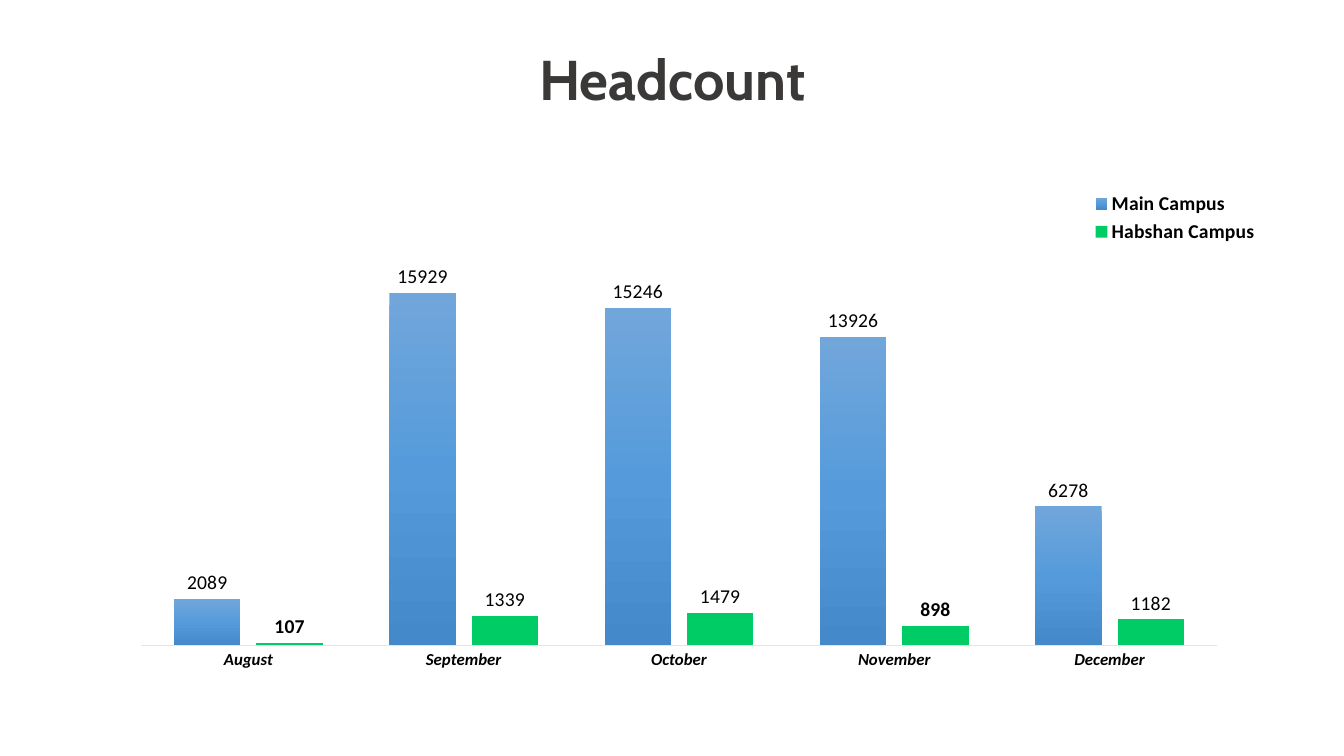
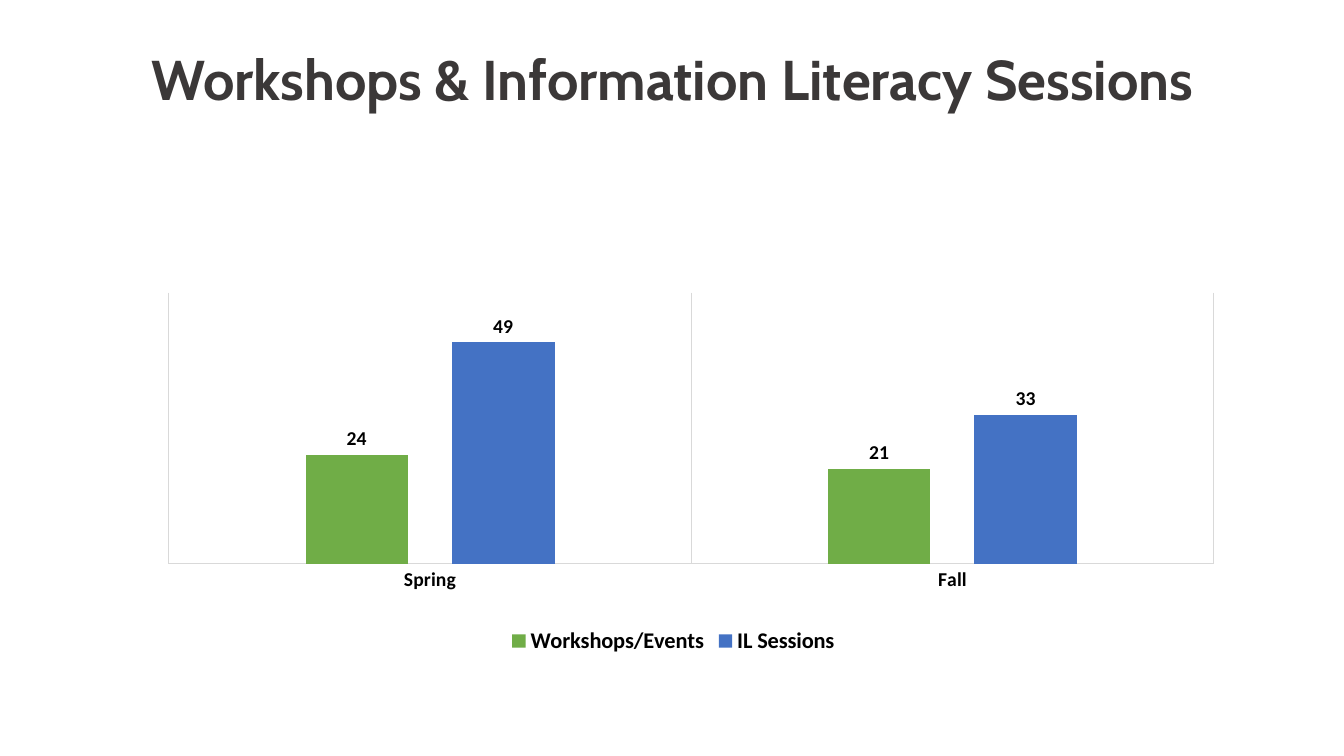
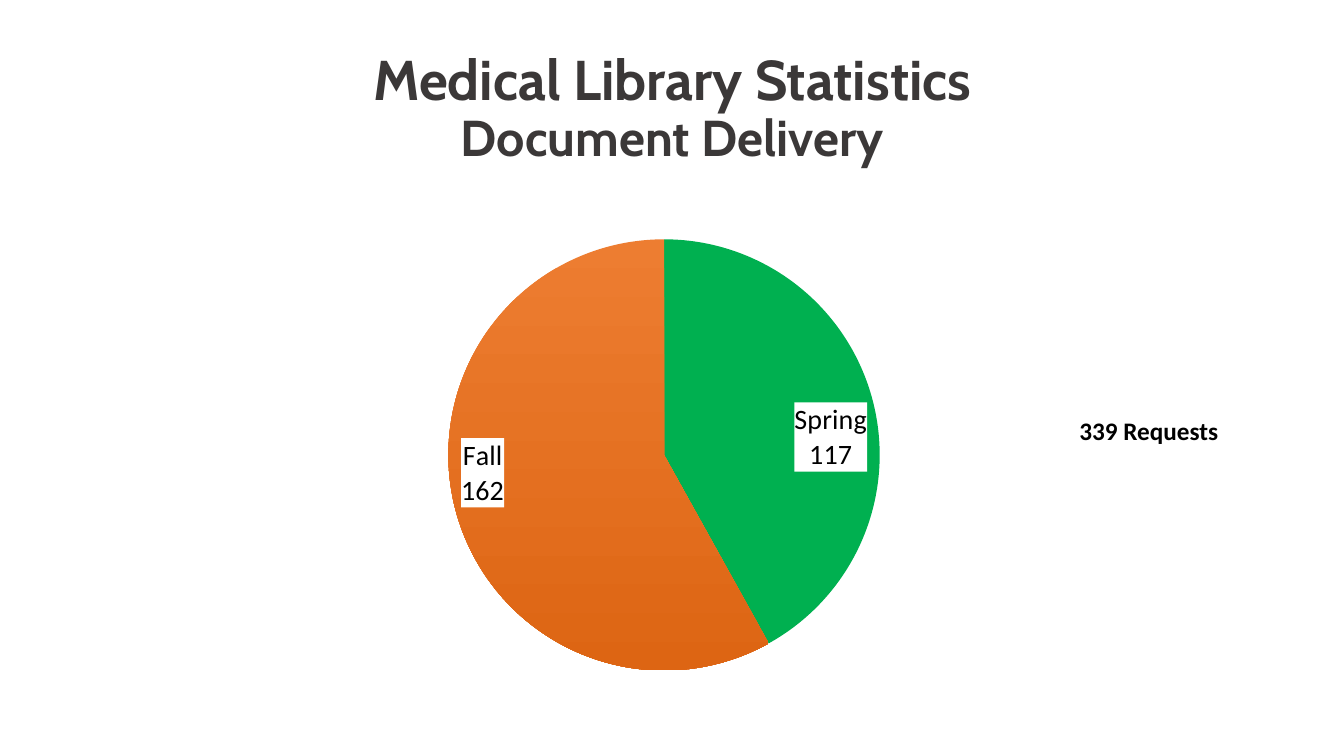
from copy import deepcopy

from lxml import etree
from pptx import Presentation
from pptx.chart.data import CategoryChartData
from pptx.dml.color import RGBColor
from pptx.enum.chart import XL_CHART_TYPE, XL_LABEL_POSITION, XL_LEGEND_POSITION, XL_TICK_MARK
from pptx.enum.text import MSO_ANCHOR, MSO_AUTO_SIZE, PP_ALIGN
from pptx.oxml.ns import qn
from pptx.util import Inches, Pt

COLUMN = XL_CHART_TYPE.COLUMN_CLUSTERED
PIE = XL_CHART_TYPE.PIE
OUTSIDE = XL_LABEL_POSITION.OUTSIDE_END
INSIDE = XL_LABEL_POSITION.INSIDE_END
CORNER = XL_LEGEND_POSITION.CORNER
BOTTOM = XL_LEGEND_POSITION.BOTTOM
NO_TICK = XL_TICK_MARK.NONE
TOP = MSO_ANCHOR.TOP
NO_FIT = MSO_AUTO_SIZE.NONE
GROW = MSO_AUTO_SIZE.SHAPE_TO_FIT_TEXT
CENTER = PP_ALIGN.CENTER

BLACK = "000000"
TITLE_BOX = (6.9, 5.47, 86.25, 19.33)
TITLE_TOP = 6.93


def rgb(value):
    return RGBColor.from_string(value)


class Deck:
    title_font = {"name": "Cabin", "bold": True, "color": "3B3838"}
    body_font = {"name": "Calibri", "bold": True, "color": BLACK}

    def __init__(self):
        self.prs = Presentation()
        self.prs.slide_width = Inches(13.33)
        self.prs.slide_height = Inches(7.5)
        self.s = None

    def cols(self, n):
        return round(self.prs.slide_width * n / 100)

    def rows(self, n):
        return round(self.prs.slide_height * n / 100)

    def box(self, x, y, w, h):
        return self.cols(x), self.rows(y), self.cols(w), self.rows(h)

    def style(self, font, base, size, **extra):
        values = {**base, "size": Pt(size), **extra}
        font.color.rgb = rgb(values.pop("color"))
        for name, value in values.items():
            setattr(font, name, value)

    def paint(self, part, element, color):
        fill = part.format.fill
        if isinstance(color, str):
            fill.solid()
            fill.fore_color.rgb = rgb(color)
            return
        fill.gradient()
        fill.gradient_angle = 270
        gs_lst = element.find(".//" + qn("a:gsLst"))
        for _ in color[2:]:
            gs_lst.append(deepcopy(gs_lst[0]))
        for i, stop in enumerate(fill.gradient_stops):
            stop.color.rgb = rgb(color[i])
            stop.position = i / (len(color) - 1)

    def outline(self, line, color):
        line.color.rgb = rgb(color)
        line.width = Pt(0.75)

    def slide(self, *lines, box=TITLE_BOX):
        self.s = self.prs.slides.add_slide(self.prs.slide_layouts[5])
        sp = self.s.shapes.title
        sp.left, sp.top, sp.width, sp.height = self.box(*box)
        tf = sp.text_frame
        tf.auto_size = NO_FIT
        tf.vertical_anchor = TOP
        tf.margin_top = self.rows(TITLE_TOP - box[1])
        p = tf.paragraphs[0]
        p.alignment = CENTER
        p.line_spacing = 0.9
        for i, (text, size) in enumerate(lines):
            if i:
                p.add_line_break()
            r = p.add_run()
            r.text = text
            self.style(r.font, self.title_font, size)

    def text(self, text, box, size):
        tf = self.s.shapes.add_textbox(*self.box(*box)).text_frame
        tf.word_wrap = True
        tf.auto_size = GROW
        r = tf.paragraphs[0].add_run()
        r.text = text
        self.style(r.font, self.body_font, size)

    def chart(self, kind, box, layout, cats, series):
        data = CategoryChartData()
        data.categories = cats
        for name, values in series:
            data.add_series(name, values)
        chart = self.s.shapes.add_chart(kind, *self.box(*box), data).chart
        chart.has_title = False
        chart.has_legend = False
        self.style(chart.font, self.body_font, 10, bold=False)
        area = chart._chartSpace.find(".//" + qn("c:plotArea"))
        for old in area.findall(qn("c:layout")):
            area.remove(old)
        node = etree.Element(qn("c:layout"))
        manual = etree.SubElement(node, qn("c:manualLayout"))
        settings = {"layoutTarget": "inner", "xMode": "edge", "yMode": "edge"}
        settings.update(zip("xywh", (n / 100 for n in layout)))
        for tag, value in settings.items():
            etree.SubElement(manual, qn("c:" + tag)).set("val", str(value))
        area.insert(0, node)
        return chart

    def labels(self, series, position, size, **extra):
        labels = series.data_labels
        labels.show_value = True
        labels.position = position
        self.style(labels.font, self.body_font, size, **extra)
        return labels

    def columns(self, box, layout, cats, series, colors, top, gap, overlap,
                legend, legend_size, cat_size, line, italic=False, grid=False):
        chart = self.chart(COLUMN, box, layout, cats, series)
        chart.has_legend = True
        chart.legend.position = legend
        chart.legend.include_in_layout = False
        self.style(chart.legend.font, self.body_font, legend_size)
        values = chart.value_axis
        values.minimum_scale = 0
        values.maximum_scale = top
        values.has_major_gridlines = False
        values.visible = False
        axis = chart.category_axis
        axis.major_tick_mark = axis.minor_tick_mark = NO_TICK
        self.style(axis.tick_labels.font, self.body_font, cat_size, italic=italic)
        self.outline(axis.format.line, line)
        axis.has_major_gridlines = grid
        if grid:
            self.outline(axis.major_gridlines.format.line, line)
        plot = chart.plots[0]
        plot.vary_by_categories = False
        plot.gap_width = gap
        plot.overlap = overlap
        for ser, color in zip(plot.series, colors):
            ser.invert_if_negative = False
            self.paint(ser, ser._element, color)
            self.labels(ser, OUTSIDE, 14)
        return plot

    def plain_labels(self, series, indexes):
        for i in indexes:
            label = series.points[i].data_label
            self.style(label.font, self.body_font, 14, bold=False)
            label.position = OUTSIDE

    def pie(self, box, layout, cats, series, colors):
        chart = self.chart(PIE, box, layout, cats, [series])
        ser = chart.plots[0].series[0]
        for i, color in enumerate(colors):
            self.paint(ser.points[i], ser._element, color)
        labels = self.labels(ser, INSIDE, 20, bold=False)
        labels.show_category_name = True
        node = labels._element
        sppr = etree.Element(qn("c:spPr"))
        fill = etree.SubElement(sppr, qn("a:solidFill"))
        etree.SubElement(fill, qn("a:srgbClr")).set("val", "FFFFFF")
        node.find(qn("c:txPr")).addprevious(sppr)
        separator = etree.Element(qn("c:separator"))
        separator.text = "\n"
        node.find(qn("c:showBubbleSize")).addnext(separator)


def main():
    deck = Deck()

    deck.slide(("Headcount", 40))
    plot = deck.columns(
        (3.23, 24.8, 90.6, 65.87), (8, 11.9, 88.4, 80.1),
        ["August", "September", "October", "November", "December"],
        [("Main Campus", (2089, 15929, 15246, 13926, 6278)),
         ("Habshan Campus", (107, 1339, 1479, 898, 1182))],
        [("71A6DB", "559BDB", "448ACA"), "00CC66"],
        top=18000, gap=100, overlap=-24, legend=CORNER, legend_size=14,
        cat_size=12, line="E0E5EB", italic=True)
    deck.plain_labels(plot.series[0], range(5))
    deck.plain_labels(plot.series[1], (1, 2, 4))

    deck.slide(("Workshops & Information Literacy Sessions", 40))
    deck.columns(
        (7.05, 27.87, 86.1, 59.33), (6.4, 18.3, 90.3, 60.4),
        ["Spring", "Fall"],
        [("Workshops/Events", (24, 21)), ("IL Sessions", (49, 33))],
        ["70AD47", "4472C4"],
        top=60, gap=267, overlap=-43, legend=BOTTOM, legend_size=16,
        cat_size=14, line="D9D9D9", grid=True)

    deck.slide(("Medical Library Statistics", 40), ("Document Delivery", 36),
               box=(6.9, 3.73, 86.25, 21.07))
    deck.pie((11.48, 29.47, 83.55, 68.4), (1.5, 3.2, 87.8, 83.4),
             ["Spring", "Fall"], ("Requests", (117, 162)),
             ["00B050", ("ED7D31", "DD6513")])
    deck.text("339 Requests", (79.58, 54.27, 14.4, 5.33), 18)

    deck.prs.save("out.pptx")


if __name__ == "__main__":
    main()
